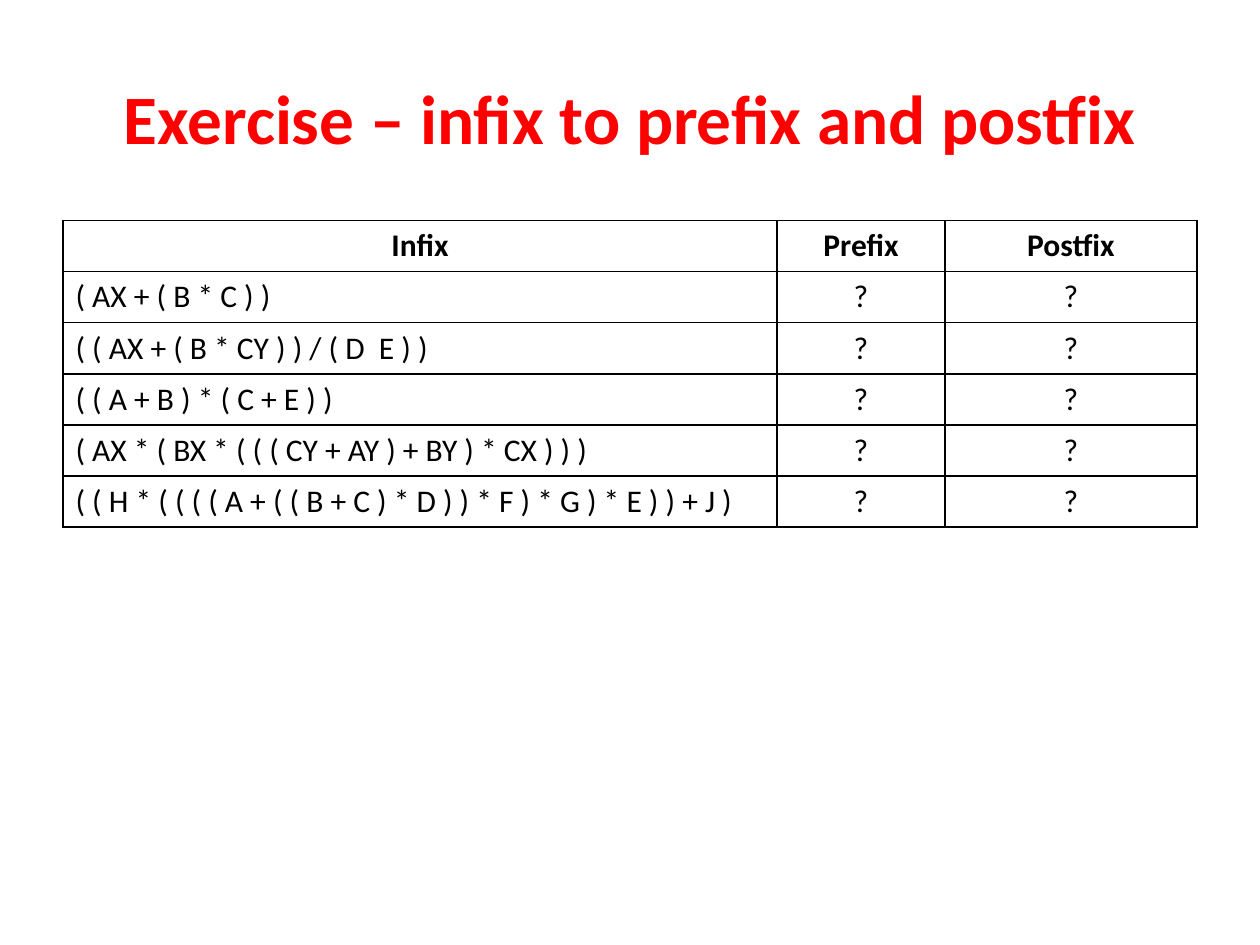
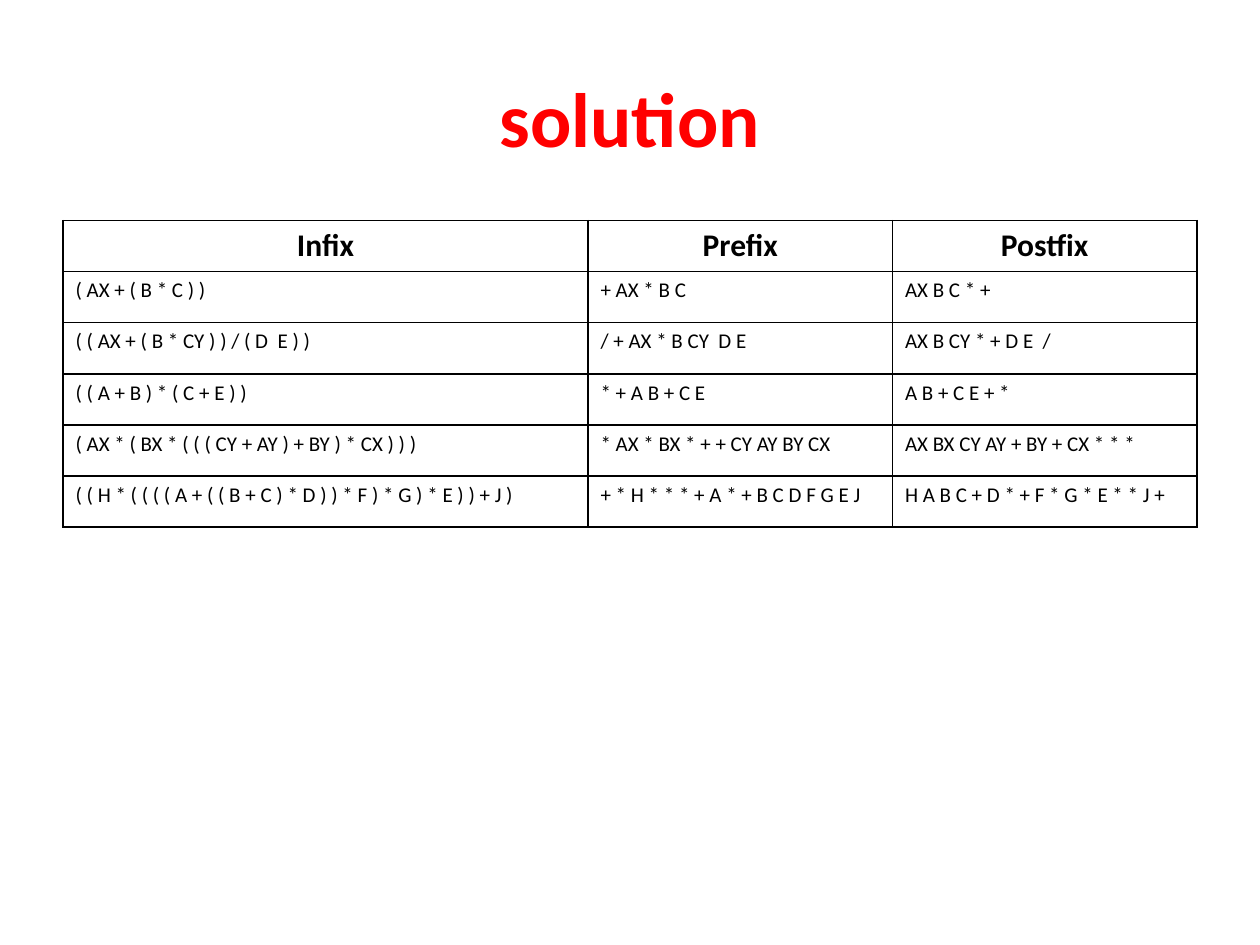
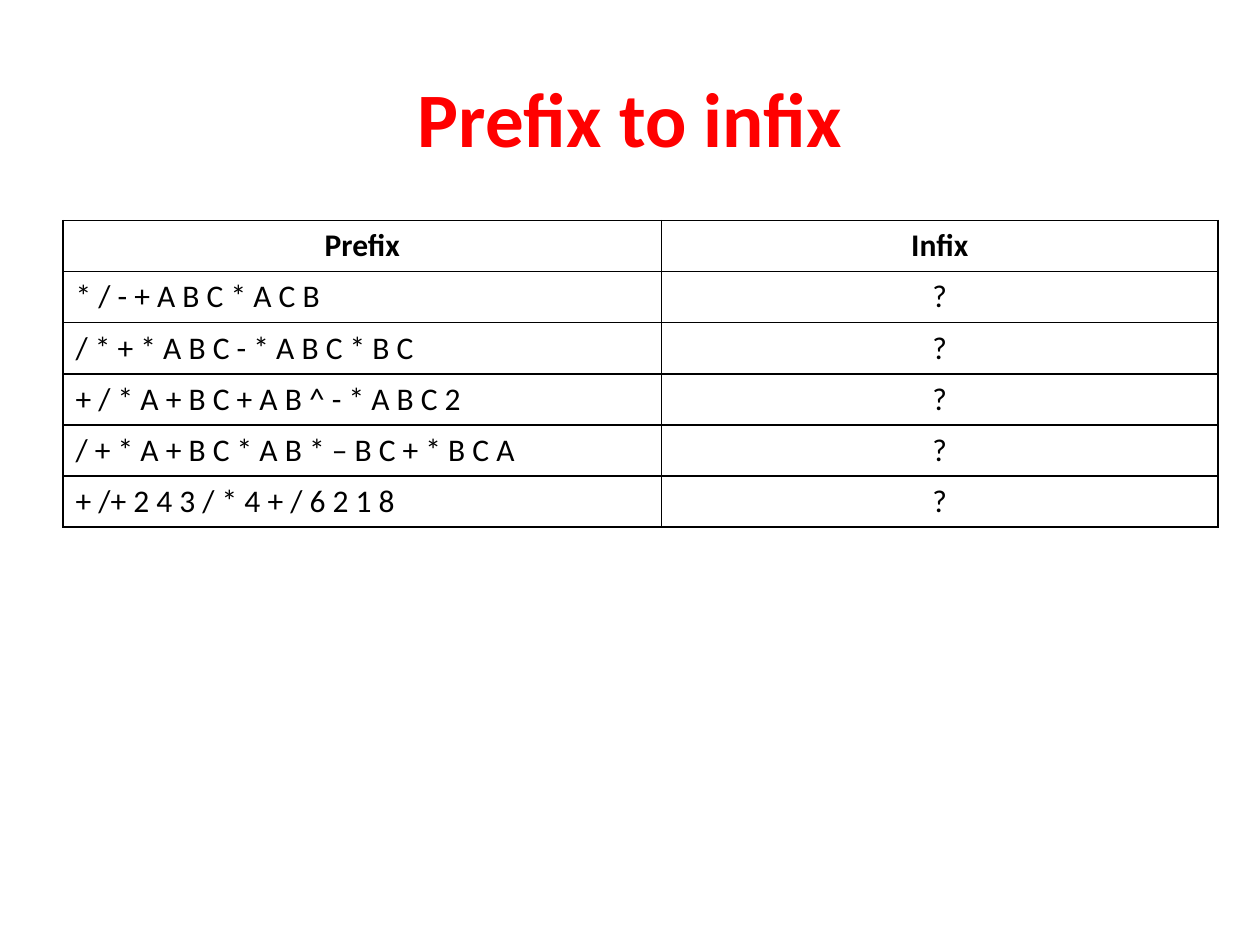
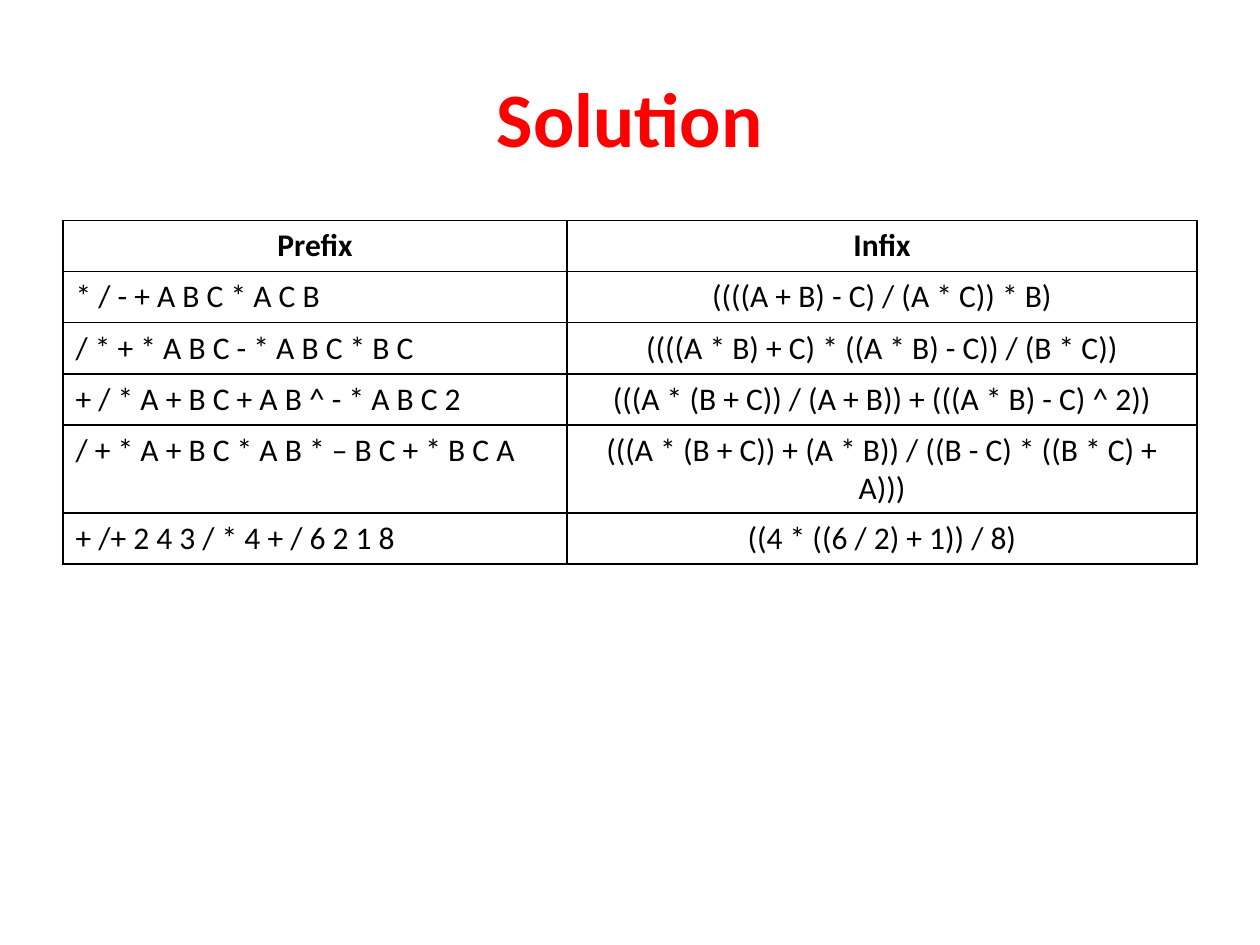
import dataclasses

import lxml.etree
import pptx
import pptx.dml.color
import pptx.enum.text
import pptx.oxml.ns
import pptx.slide
import pptx.table
import pptx.text.text
import pptx.util

Pt = pptx.util.Pt
FONT = "Calibri"
RED = "FF0000"
BLACK = "000000"
LEFT = 36
TOP = 126
ROW = 29.2

INFIX = [
    "( AX + ( B * C ) )",
    "( ( AX + ( B * CY ) ) / ( D  E ) )",
    "( ( A + B ) * ( C + E ) )",
    "( AX * ( BX * ( ( ( CY + AY ) + BY ) * CX ) ) )",
    "( ( H * ( ( ( ( A + ( ( B + C ) * D ) ) * F ) * G ) * E ) ) + J )",
]
PREFIX = [
    "* / - + A B C * A C B",
    "/ * + * A B C - * A B C * B C",
    "+ / * A + B C + A B ^ - * A B C 2",
    "/ + * A + B C * A B * – B C + * B C A",
    "+ /+ 2 4 3 / * 4 + / 6 2 1 8",
]
ASKED = ["?"] * 5
TO_PREFIX = [
    "+ AX * B C",
    "/ + AX * B CY  D E",
    "* + A B + C E",
    "* AX * BX * + + CY AY BY CX",
    "+ * H * * * + A * + B C D F G E J",
]
TO_POSTFIX = [
    "AX B C * +",
    "AX B CY * + D E  /",
    "A B + C E + *",
    "AX BX CY AY + BY + CX * * *",
    "H A B C + D * + F * G * E * * J +",
]
TO_INFIX = [
    "((((A + B) - C) / (A * C)) * B)",
    "((((A * B) + C) * ((A * B) - C)) / (B * C))",
    "(((A * (B + C)) / (A + B)) + (((A * B) - C) ^ 2))",
    "(((A * (B + C)) + (A * B)) / ((B - C) * ((B * C) + A)))",
    "((4 * ((6 / 2) + 1)) / 8)",
]


@dataclasses.dataclass
class Column:
    head: str
    width: float
    items: list[str]
    center: bool = True


@dataclasses.dataclass
class Page:
    title: str
    columns: list[Column]
    title_size: float = 44
    size: float = 18


PAGES = [
    Page("Exercise – infix to prefix and postfix", [
        Column("Infix", 408, INFIX, center=False),
        Column("Prefix", 96, ASKED),
        Column("Postfix", 144, ASKED),
    ], title_size=39.6),
    Page("solution", [
        Column("Infix", 300, INFIX, center=False),
        Column("Prefix", 174, TO_PREFIX, center=False),
        Column("Postfix", 174, TO_POSTFIX, center=False),
    ], size=12),
    Page("Prefix to infix", [
        Column("Prefix", 342, PREFIX, center=False),
        Column("Infix", 318, ASKED),
    ]),
    Page("Solution", [
        Column("Prefix", 288, PREFIX, center=False),
        Column("Infix", 360, TO_INFIX),
    ]),
]


def color(value: str) -> pptx.dml.color.RGBColor:
    return pptx.dml.color.RGBColor.from_string(value)


def write(frame: pptx.text.text.TextFrame, text: str, *, size: float = 18,
          tint: str = BLACK, bold: bool = False, center: bool = True) -> None:
    align = pptx.enum.text.PP_ALIGN
    line = frame.paragraphs[0]
    line.alignment = align.CENTER if center else align.LEFT
    run = line.add_run()
    run.text = text
    run.font.name = FONT
    run.font.size = Pt(size)
    run.font.bold = bold
    run.font.color.rgb = color(tint)


def border(cell: pptx.table._Cell) -> None:
    qn = pptx.oxml.ns.qn
    props = cell._tc.get_or_add_tcPr()
    for side in ("lnL", "lnR", "lnT", "lnB"):
        line = lxml.etree.SubElement(props, qn(f"a:{side}"), w=str(Pt(1)))
        fill = lxml.etree.SubElement(line, qn("a:solidFill"))
        lxml.etree.SubElement(fill, qn("a:srgbClr"), val=BLACK)


def draw_title(slide: pptx.slide.Slide, page: Page) -> None:
    box = slide.shapes.add_textbox(Pt(LEFT), Pt(21.6), Pt(648), Pt(90))
    frame = box.text_frame
    frame.word_wrap = True
    frame.vertical_anchor = pptx.enum.text.MSO_ANCHOR.MIDDLE
    write(frame, page.title, size=page.title_size, tint=RED, bold=True)


def draw_table(slide: pptx.slide.Slide, page: Page) -> None:
    count = len(page.columns[0].items) + 1
    width = sum(column.width for column in page.columns)
    table = slide.shapes.add_table(
        count, len(page.columns), Pt(LEFT), Pt(TOP), Pt(width), Pt(ROW * count)
    ).table
    table.first_row = False
    table.horz_banding = False
    for col, column in enumerate(page.columns):
        table.columns[col].width = Pt(column.width)
        for row, text in enumerate([column.head, *column.items]):
            cell = table.cell(row, col)
            border(cell)
            cell.fill.background()
            if row == 0:
                write(cell.text_frame, text, bold=True)
            else:
                write(cell.text_frame, text, size=page.size, center=column.center)


def main() -> None:
    deck = pptx.Presentation()
    deck.slide_width = Pt(720)
    deck.slide_height = Pt(540)
    for page in PAGES:
        slide = deck.slides.add_slide(deck.slide_layouts[6])
        draw_title(slide, page)
        draw_table(slide, page)
    deck.save("out.pptx")


if __name__ == "__main__":
    main()
